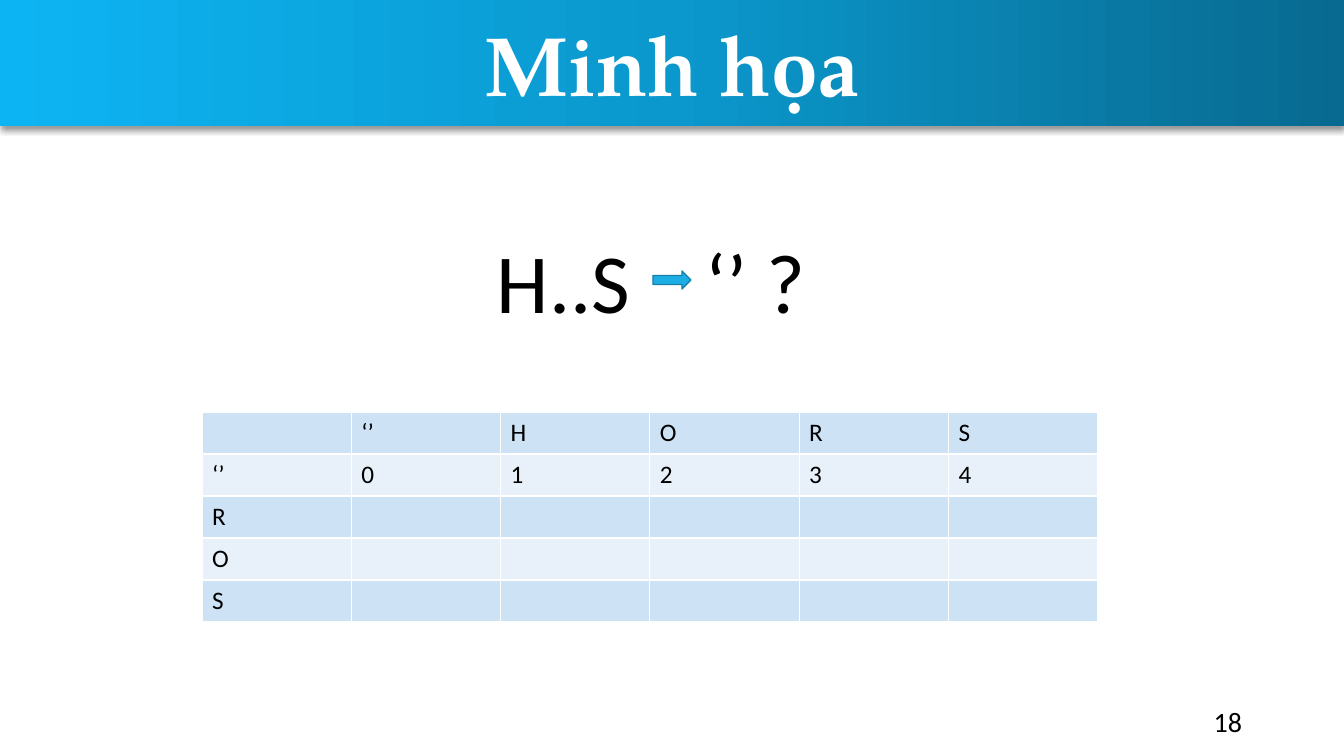
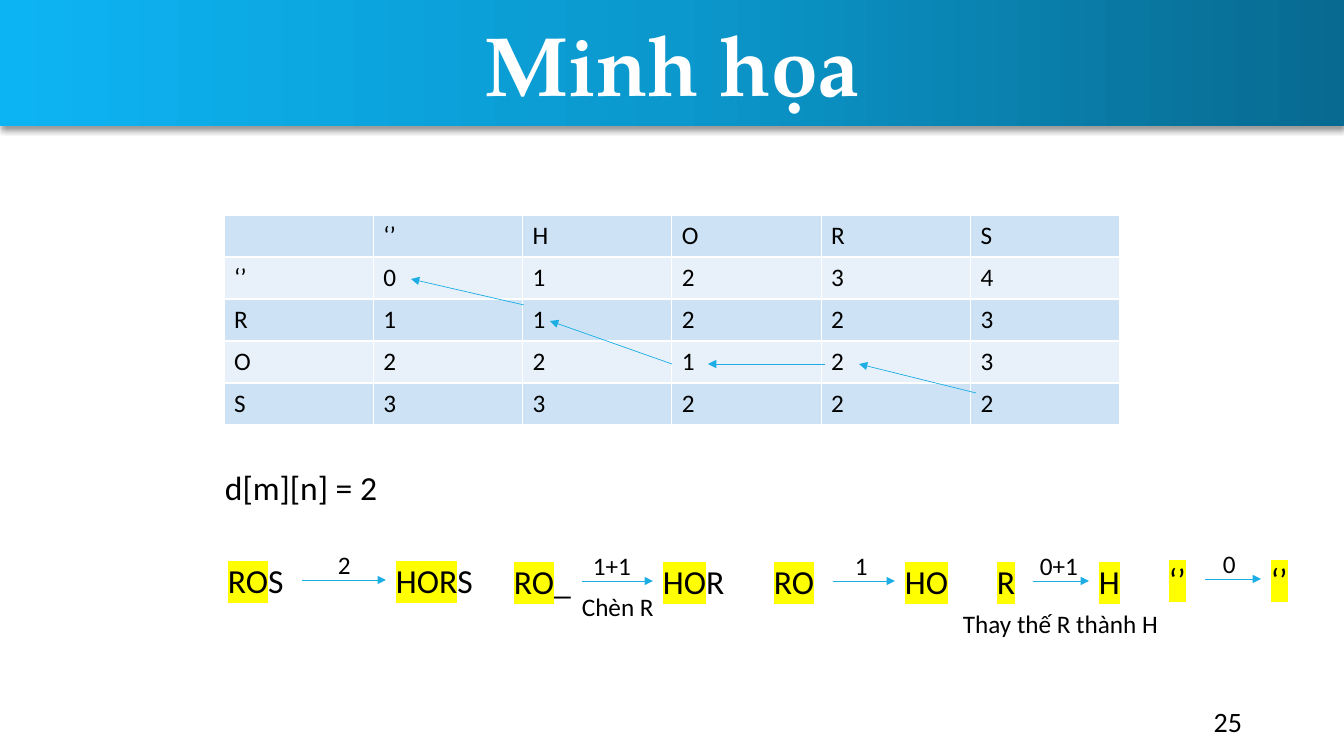
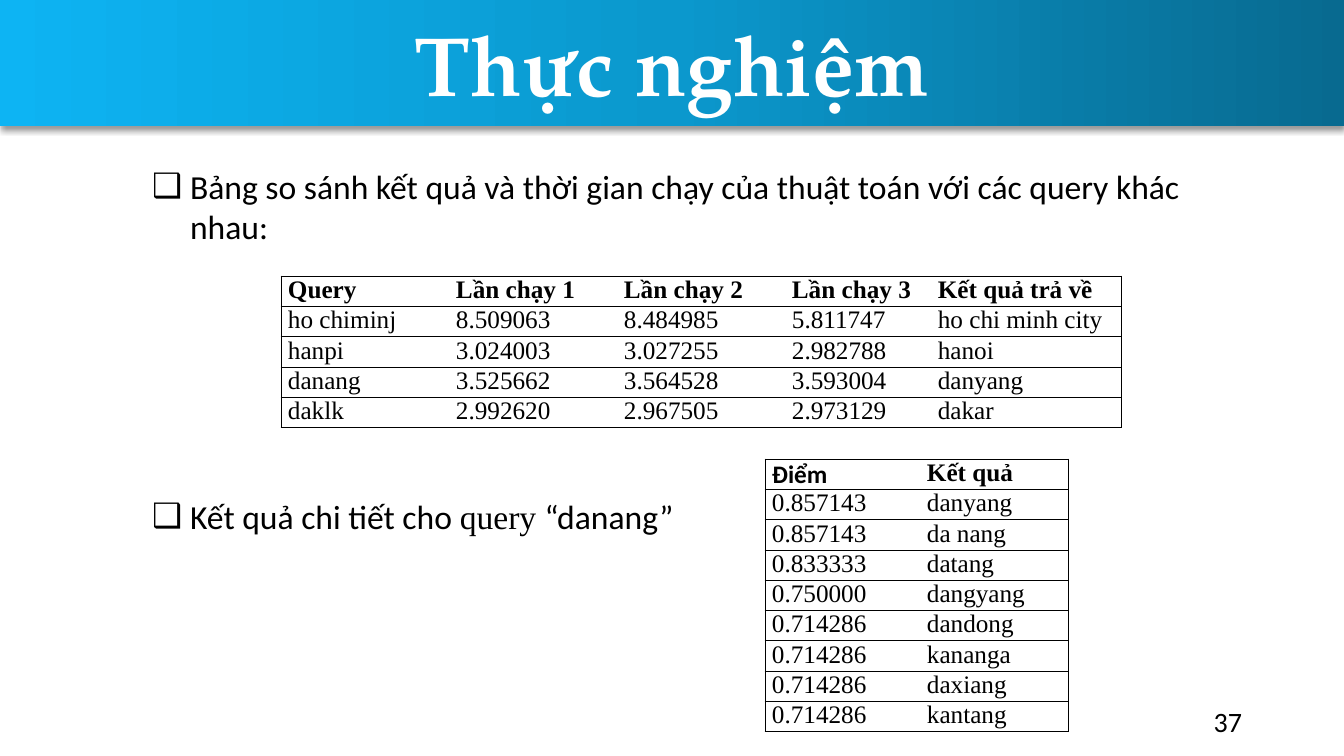
from lxml import etree
from pptx import Presentation
from pptx import util as u
from pptx.dml import color as col
from pptx.enum import shapes, text
from pptx.oxml import ns

PX = 914400 / 100.8
HUES = {
    "ink": "000000", "paper": "FFFFFF", "deep": "086A90", "mid": "0B98CD",
    "light": "0DB4F3", "arrow": "1CADE4", "edge": "1580A9", "mark": "FFFF00",
    "odd": "CDE3F5", "even": "E8F1FA",
}
SANS, SERIF, HEAD = "Calibri", "Times New Roman", "TeX Gyre Pagella"
LEFT, MID, RIGHT = text.PP_ALIGN.LEFT, text.PP_ALIGN.CENTER, text.PP_ALIGN.RIGHT
LETTERS = ["‘’", "H", "O", "R", "S"]


def px(n):
    return u.Emu(round(n * PX))


def rgb(hue):
    return col.RGBColor.from_string(HUES[hue])


def node(up, tag, **atts):
    return etree.SubElement(up, ns.qn(tag), {k: str(v) for k, v in atts.items()})


def place(item, box):
    for key, val in zip(("left", "top", "width", "height"), box):
        setattr(item, key, px(val))


def write(para, runs, size, align=LEFT, hue="ink", name=SANS, bold=False):
    para.alignment = align
    para.space_before = para.space_after = u.Pt(0)
    for part in [(runs, {})] if isinstance(runs, str) else runs:
        words, more = part
        run = para.add_run()
        run.text = words
        font = run.font
        font.color.rgb = rgb(hue)
        form = {"size": u.Pt(size), "bold": bold, "name": more.get("name", name)}
        for key, val in form.items():
            setattr(font, key, val)
        if "mark" in more:
            glow = etree.Element(ns.qn("a:highlight"))
            node(glow, "a:srgbClr", val=HUES[more["mark"]])
            run._r.rPr.find(ns.qn("a:solidFill")).addnext(glow)


def label(slide, box, runs, size, wrap=False, tab=None, **form):
    frame = slide.shapes.add_textbox(*map(px, box)).text_frame
    frame.word_wrap = wrap
    para = frame.paragraphs[0]
    if tab:
        tabs = node(para._p.get_or_add_pPr(), "a:tabLst")
        node(tabs, "a:tab", pos=px(tab), algn="l")
    write(para, runs, size, **form)
    return frame


def arrow(slide, x1, y1, x2, y2):
    line = slide.shapes.add_connector(
        shapes.MSO_CONNECTOR.STRAIGHT, *map(px, (x1, y1, x2, y2)))
    line.line.color.rgb = rgb("arrow")
    line.line.width = u.Pt(0.5)
    node(line.line._get_or_add_ln(), "a:tailEnd", type="triangle")
    node(line._element.spPr, "a:effectLst")


def band(slide, box):
    bar = slide.shapes.add_shape(shapes.MSO_SHAPE.RECTANGLE, *map(px, box))
    bar.line.fill.background()
    bar.fill.gradient()
    bar.fill.gradient_angle = 180
    props = bar._element.spPr
    stops = props.find(".//" + ns.qn("a:gsLst"))
    stops[:] = []
    for pos, hue in enumerate(("deep", "mid", "light")):
        node(node(stops, "a:gs", pos=pos * 50000), "a:srgbClr", val=HUES[hue])
    bar.shadow.inherit = False
    shade = node(props.find(ns.qn("a:effectLst")), "a:outerShdw", blurRad=u.Pt(4),
                 dist=u.Pt(3), dir=5400000, algn="t", rotWithShape=0)
    node(node(shade, "a:srgbClr", val=HUES["ink"]), "a:alpha", val=40000)
    slide.shapes._spTree.insert(2, bar._element)


def base(deck, kind, name, page):
    slide = deck.slides.add_slide(deck.slide_layouts[kind])
    band(slide, (0, 0, 1344, 126))
    title = slide.shapes.title
    place(title, (0, 7, 1344, 112))
    frame = title.text_frame
    frame.auto_size = text.MSO_AUTO_SIZE.NONE
    frame.vertical_anchor = text.MSO_ANCHOR.TOP
    write(frame.paragraphs[0], name, 60, MID, "paper", HEAD, True)
    foot = label(slide, (950, 701, 302, 40), page, 20, True, align=RIGHT)
    foot.vertical_anchor = text.MSO_ANCHOR.MIDDLE
    return slide


def rule(cell, sides, hue, width):
    props = cell._tc.get_or_add_tcPr()
    for side in "LRTB":
        line = node(props, "a:ln" + side, w=u.Pt(width))
        if side in sides:
            node(node(line, "a:solidFill"), "a:srgbClr", val=HUES[hue])
        else:
            node(line, "a:noFill")


def grid(slide, box, rows, cols, style):
    table = slide.shapes.add_table(len(rows), len(cols), *map(px, box)).table
    table.first_row = table.horz_banding = False
    for c, part in enumerate(cols):
        table.columns[c].width = px(box[2] * part / sum(cols))
    for r, row in enumerate(rows):
        table.rows[r].height = px(box[3] / len(rows))
        for c, words in enumerate(row):
            style(table.cell(r, c), r, c, len(cols), words)


def tint(cell, r, c, count, words):
    rule(cell, "LRTB", "paper", 1)
    cell.fill.solid()
    cell.fill.fore_color.rgb = rgb("even" if r % 2 else "odd")
    if words:
        write(cell.text_frame.paragraphs[0], words, 18)


def plain(cell, r, c, count, words):
    sides = "TB" + "L" * (c == 0) + "R" * (c == count - 1)
    rule(cell, sides, "ink", 0.5)
    cell.fill.background()
    form = {"margin_left": px(7), "margin_right": px(7), "margin_top": 0, "margin_bottom": 0}
    for key, val in form.items():
        setattr(cell, key, val)
    name = SANS if words == "Điểm" else SERIF
    write(cell.text_frame.paragraphs[0], words, 18, name=name, bold=r == 0)


def matrix(slide, x, y, costs):
    rows = [[""] + LETTERS]
    for n, head in enumerate(["‘’", "R", "O", "S"]):
        rows.append([head] + list(costs[n] if n < len(costs) else " " * 5))
    rows = [[words.strip() for words in row] for row in rows]
    grid(slide, (x, y, 896, 210), rows, [1] * 6, tint)


def ask(slide, x, y):
    label(slide, (x, y, 343, 112), "H..S\t‘’ ?", 60, True, 209)
    sign = slide.shapes.add_shape(
        shapes.MSO_SHAPE.RIGHT_ARROW, *map(px, (x + 166, y + 46, 38, 18)))
    sign.shadow.inherit = False
    sign.fill.solid()
    sign.fill.fore_color.rgb = rgb("arrow")
    sign.line.color.rgb = rgb("edge")
    sign.line.width = u.Pt(1)


def trace(slide, x, y):
    for x1, y1, x2, y2 in [
        (752, 178, 635, 149), (601, 149, 484, 149),
        (448, 149, 326, 106), (300, 90, 187, 64),
    ]:
        arrow(slide, x + x1, y + y1, x + x2, y + y2)


def step(slide, x, y, wide, gap, last, old, new, cost, shift):
    start = x + wide
    for left, width, pair in ((x, wide, old), (start + gap, last, new)):
        runs = [(pair[0], {"mark": "mark"})]
        if pair[1]:
            runs.append((pair[1], {}))
        label(slide, (left, y, width, 50), runs, 24)
    arrow(slide, start, y + 25, start + gap, y + 25)
    label(slide, (start + shift, y - 11, 33 if len(cost) == 1 else 58, 40), cost, 18)


def points(slide, items):
    for body, (box, runs) in zip(list(slide.placeholders)[1:], items):
        place(body, box)
        frame = body.text_frame
        frame.auto_size = text.MSO_AUTO_SIZE.NONE
        para = frame.paragraphs[0]
        props = para._p.get_or_add_pPr()
        props.set("marL", str(px(38)))
        props.set("indent", str(-px(38)))
        node(props, "a:buFont", typeface=SANS)
        node(props, "a:buChar", char="❑")
        write(para, runs, 24)


def first(deck):
    slide = base(deck, 5, "Minh họa", "18")
    matrix(slide, 202, 412, ["01234"])
    ask(slide, 487, 225)


def second(deck):
    slide = base(deck, 5, "Minh họa", "25")
    matrix(slide, 224, 215, ["01234", "11223", "22123", "33222"])
    trace(slide, 224, 215)
    label(slide, (215, 462, 174, 50), "d[m][n] = 2", 24)
    for spot in [
        (218, 555, 84, 84, 98, ("RO", "S"), ("HOR", "S"), "2", 26),
        (504, 556, 78, 71, 83, ("RO", "_"), ("HO", "R"), "1+1", 1),
        (764, 556, 69, 62, 64, ("RO", " "), ("HO", ""), "1", 12),
        (987, 556, 46, 56, 41, ("R", " "), ("H", ""), "0+1", -3),
        (1159, 554, 46, 56, 37, ("‘’", " "), ("‘’", ""), "0", 8),
    ]:
        step(slide, *spot)
    label(slide, (572, 586, 92, 40), "Chèn R", 18)
    label(slide, (953, 603, 217, 40), "Thay thế R thành H", 18)


def third(deck):
    slide = base(deck, 3, "Thực nghiệm", "37")
    points(slide, [
        ((142, 161, 1060, 122),
         "Bảng so sánh kết quả và thời gian chạy của thuật toán với các query khác nhau:"),
        ((142, 491, 553, 50),
         [("Kết quả chi tiết cho ", {}), ("query ", {"name": SERIF}), ("“danang”", {})]),
    ])
    grid(slide, (281, 276, 840, 151), [
        ("Query", "Lần chạy 1", "Lần chạy 2", "Lần chạy 3", "Kết quả trả về"),
        ("ho chiminj", "8.509063", "8.484985", "5.811747", "ho chi minh city"),
        ("hanpi", "3.024003", "3.027255", "2.982788", "hanoi"),
        ("danang", "3.525662", "3.564528", "3.593004", "danyang"),
        ("daklk", "2.992620", "2.967505", "2.973129", "dakar"),
    ], [168, 168, 168, 146, 190], plain)
    grid(slide, (765, 459, 303, 272), [
        ("Điểm", "Kết quả"),
        ("0.857143", "danyang"),
        ("0.857143", "da nang"),
        ("0.833333", "datang"),
        ("0.750000", "dangyang"),
        ("0.714286", "dandong"),
        ("0.714286", "kananga"),
        ("0.714286", "daxiang"),
        ("0.714286", "kantang"),
    ], [155, 148], plain)


def main():
    deck = Presentation()
    deck.slide_width, deck.slide_height = px(1344), px(756)
    for make in (first, second, third):
        make(deck)
    deck.save("out.pptx")


if __name__ == "__main__":
    main()
